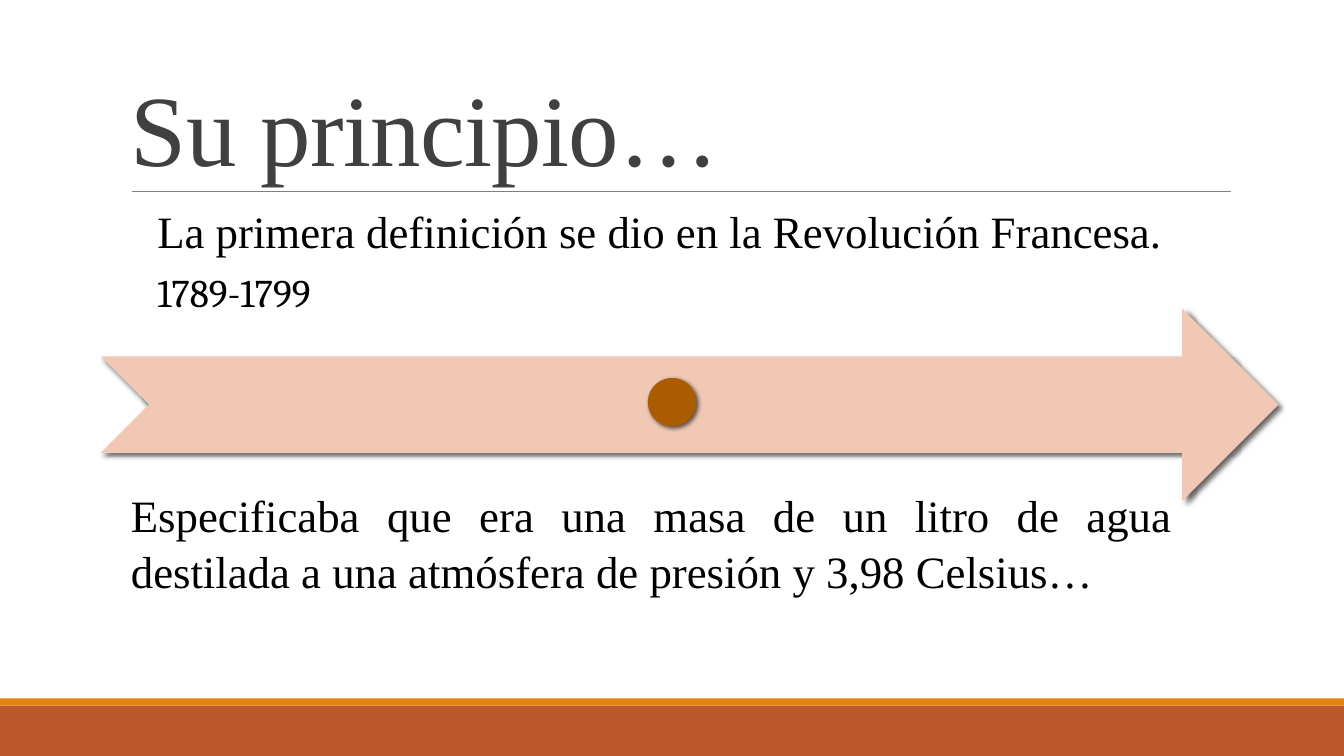
import pptx
import pptx.dml.color
import pptx.enum.shapes
import pptx.enum.text
import pptx.oxml.ns
import pptx.util
from lxml import etree

# Content
SERIF = "Times New Roman"
TITLE = [("Su principio…", 72, SERIF, "404040")]
MILESTONE = [
    ("La primera definición se dio en la Revolución Francesa.", 32, SERIF, "000000"),
    ("1789-1799", 28, "Cambria", "000000"),
]
DEFINITION = [(
    "Especificaba que era una masa de un litro de agua destilada a una "
    "atmósfera de presión y 3,98 Celsius…", 32, SERIF, "000000")]

# Layout in inches
WIDTH, HEIGHT = 13.33, 7.5
FOOTER_TOP, STRIPE = 7, 0.07
RULE_LEFT, RULE_RIGHT, RULE_Y = 1.31, 12.21, 1.9
ARROW = (1, 3.06, 11.68, 1.91)
DOT = 0.48

SHAPE = pptx.enum.shapes.MSO_SHAPE
ANCHOR = pptx.enum.text.MSO_ANCHOR
ALIGN = pptx.enum.text.PP_ALIGN
qn = pptx.oxml.ns.qn


def color(value):
    return pptx.dml.color.RGBColor.from_string(value)


def inches(*values):
    return [pptx.util.Inches(value) for value in values]


def add_shape(slide, preset, box, fill):
    shape = slide.shapes.add_shape(preset, *inches(*box))
    shape.shadow.inherit = False
    shape.fill.solid()
    shape.fill.fore_color.rgb = color(fill)
    shape.line.fill.background()
    return shape


def cast_shadow(shape):
    effects = shape._element.spPr.find(qn("a:effectLst"))
    shadow = etree.SubElement(effects, qn("a:outerShdw"), blurRad="38100",
                              dist="25400", dir="2700000", rotWithShape="0")
    black = etree.SubElement(shadow, qn("a:srgbClr"), val="000000")
    etree.SubElement(black, qn("a:alpha"), val="60000")


def add_text(slide, box, lines, anchor, spacing, margins=(0.1, 0.05),
             align=ALIGN.LEFT, gap=0, tracking=0):
    frame = slide.shapes.add_textbox(*inches(*box)).text_frame
    frame.word_wrap = True
    frame.vertical_anchor = anchor
    frame.margin_left = frame.margin_right = pptx.util.Inches(margins[0])
    frame.margin_top = frame.margin_bottom = pptx.util.Inches(margins[1])
    for index, (text, size, font, ink) in enumerate(lines):
        paragraph = frame.add_paragraph() if index else frame.paragraphs[0]
        paragraph.alignment = align
        paragraph.line_spacing = spacing
        paragraph.space_after = pptx.util.Pt(gap if index < len(lines) - 1 else 0)
        run = paragraph.add_run()
        run.text = text
        run.font.size = pptx.util.Pt(size)
        run.font.name = font
        run.font.color.rgb = color(ink)
        if tracking:
            run.font._element.set("spc", str(round(tracking * 100)))


def main():
    deck = pptx.Presentation()
    deck.slide_width, deck.slide_height = inches(WIDTH, HEIGHT)
    slide = deck.slides.add_slide(deck.slide_layouts[6])

    # Footer bands
    add_shape(slide, SHAPE.RECTANGLE,
              (0, FOOTER_TOP, WIDTH, HEIGHT - FOOTER_TOP), "BD582C")
    add_shape(slide, SHAPE.RECTANGLE,
              (0, FOOTER_TOP - STRIPE, WIDTH, STRIPE), "E48312")

    # Title and rule
    rule = slide.shapes.add_connector(
        pptx.enum.shapes.MSO_CONNECTOR.STRAIGHT,
        *inches(RULE_LEFT, RULE_Y, RULE_RIGHT, RULE_Y))
    rule.line.color.rgb = color("808080")
    rule.line.width = pptx.util.Pt(0.5)
    etree.SubElement(rule._element.spPr, qn("a:effectLst"))
    add_text(slide, (1.2, 0.31, 11, 1.59), TITLE, ANCHOR.BOTTOM, 0.85, tracking=-0.5)

    # Timeline arrow with its milestone
    cast_shadow(add_shape(slide, SHAPE.NOTCHED_RIGHT_ARROW, ARROW, "F1C8B4"))
    add_text(slide, (RULE_LEFT, RULE_Y, 10.51, 1.48), MILESTONE, ANCHOR.BOTTOM, 0.9,
             margins=(0.25, 0.25), gap=11)
    dot = add_shape(slide, SHAPE.OVAL,
                    ((WIDTH - DOT) / 2, HEIGHT / 2, DOT, DOT), "AB5C00")
    cast_shadow(dot)

    # Definition
    add_text(slide, (1.2, 4.76, 10.53, 1.18), DEFINITION, ANCHOR.TOP, 1.05,
             align=ALIGN.JUSTIFY)

    deck.save("out.pptx")


if __name__ == "__main__":
    main()
